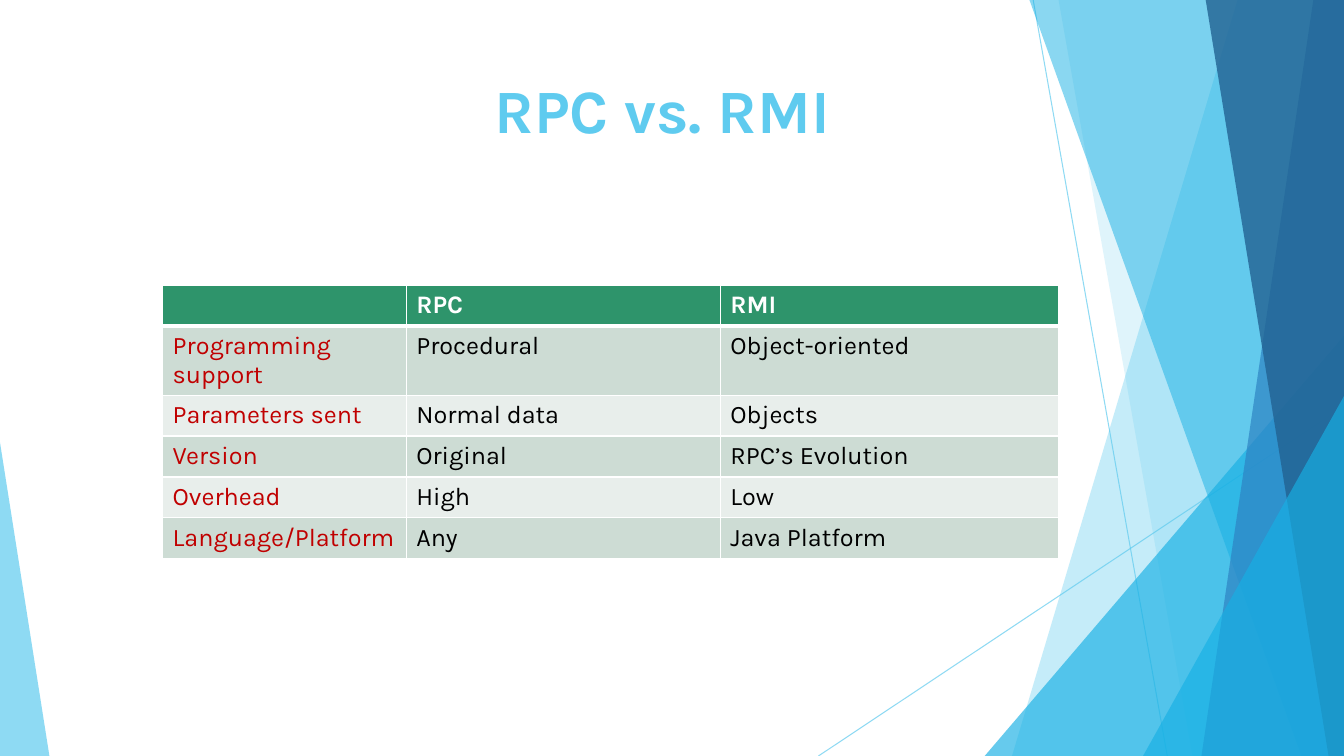
import pptx
import pptx.util
import pptx.dml.color
import pptx.enum.shapes
import pptx.enum.text
import pptx.oxml
import pptx.oxml.ns

Pt = pptx.util.Pt
FONT = "Karla"
COLORS = {
    "sky": "5FCBEF", "cyan": "17B0E4", "blue": "2E83C3", "navy": "226292",
    "header": "2E946B", "band": "CDDCD4", "pale": "E8EEEB",
    "label": "C00000", "text": "000000", "white": "FFFFFF",
}

# Content
TITLE = "RPC vs. RMI"
ROWS = [
    ("", "RPC", "RMI"),
    ("Programming support", "Procedural", "Object-oriented"),
    ("Parameters sent", "Normal data", "Objects"),
    ("Version", "Original", "RPC’s Evolution"),
    ("Overhead", "High", "Low"),
    ("Language/Platform", "Any", "Java Platform"),
]
COL_WIDTHS = [174, 224.4, 241.7]
ROW_HEIGHTS = [29.2, 49, 29.2, 29.2, 29.2, 29.2]

# Decoration, back to front, in points
WIDTH, HEIGHT, BAND_TOP = 960, 540, -0.7
LINES = [(738, 0, 833.8, HEIGHT), (WIDTH, 290.2, 584.6, HEIGHT)]
# Bands reach the right edge: (top x, bottom x, colour, opacity %)
# Triangles stand on the bottom edge: (left, top, width, apex, colour, opacity %)
FACETS = [
    ("band", 884.2, 722.9, "sky", 36),
    ("band", 756, 851.8, "sky", 20),
    ("triangle", 703.4, 239.8, 256.6, 1, "cyan", 66),
    ("band", 735.1, 929.5, "cyan", 50),
    ("band", 938.2, 858.2, "blue", 70),
    ("band", 861.1, 949, "navy", 80),
    ("triangle", 816.5, 283, 143.5, 1, "cyan", 66),
    ("triangle", 0, 316.1, 35.3, 0, "sky", 70),
]


def rgb(name):
    return pptx.dml.color.RGBColor.from_string(COLORS[name])


def add_xml(parent, tag, **attrs):
    el = pptx.oxml.parse_xml(f"<{tag} {pptx.oxml.ns.nsdecls('a')}/>")
    for key, value in attrs.items():
        el.set(key, str(value))
    parent.append(el)
    return el


def set_opacity(element, percent):
    color = next(element.iter(pptx.oxml.ns.qn("a:srgbClr")))
    add_xml(color, "a:alpha", val=percent * 1000)


def add_run(p, text, size, color, bold):
    r = p.add_run()
    r.text = text
    r.font.name, r.font.size, r.font.bold = FONT, Pt(size), bold
    r.font.color.rgb = rgb(color)


def add_facet(s, kind, *values):
    *geometry, color, opacity = values
    if kind == "band":
        top_x, bottom_x = geometry
        corners = [(WIDTH, BAND_TOP), (WIDTH, HEIGHT), (bottom_x, HEIGHT)]
        builder = s.shapes.build_freeform(Pt(top_x), Pt(BAND_TOP))
        builder.add_line_segments([(Pt(x), Pt(y)) for x, y in corners], close=True)
        sp = builder.convert_to_shape()
    else:
        left, top, width, apex = geometry
        sp = s.shapes.add_shape(pptx.enum.shapes.MSO_SHAPE.ISOSCELES_TRIANGLE,
                                Pt(left), Pt(top), Pt(width), Pt(HEIGHT - top))
        sp.adjustments[0] = apex
    sp.shadow.inherit = False
    sp.fill.solid()
    sp.fill.fore_color.rgb = rgb(color)
    set_opacity(sp.fill._xPr, opacity)
    sp.line.fill.background()


def set_borders(cell, bottom):
    tcPr = cell._tc.get_or_add_tcPr()
    for side, width in (("L", 1), ("R", 1), ("T", 1), ("B", bottom)):
        ln = add_xml(tcPr, f"a:ln{side}", w=Pt(width))
        add_xml(add_xml(ln, "a:solidFill"), "a:srgbClr", val=COLORS["white"])


prs = pptx.Presentation()
prs.slide_width, prs.slide_height = Pt(WIDTH), Pt(HEIGHT)
s = prs.slides.add_slide(prs.slide_layouts[5])

# Background lines and facets
for ends in LINES:
    line = s.shapes.add_connector(pptx.enum.shapes.MSO_CONNECTOR.STRAIGHT,
                                  *[Pt(v) for v in ends])
    line.line.width = Pt(0.75)
    line.line.color.rgb = rgb("sky")
    set_opacity(line.line._ln, 70)
    add_xml(line._element.spPr, "a:effectLst")
for facet in FACETS:
    add_facet(s, *facet)

# Title, brought in front of the facets
title = s.shapes.title
s.shapes._spTree.append(title._element)
title.left, title.top, title.width, title.height = Pt(53.3), Pt(48), Pt(840), Pt(104)
tf = title.text_frame
tf.word_wrap = True
tf.auto_size = pptx.enum.text.MSO_AUTO_SIZE.NONE
tf.vertical_anchor = pptx.enum.text.MSO_ANCHOR.TOP
p = tf.paragraphs[0]
p.alignment = pptx.enum.text.PP_ALIGN.CENTER
add_run(p, TITLE, 44, "sky", True)

# Comparison table
table = s.shapes.add_table(len(ROWS), len(COL_WIDTHS), Pt(116.2), Pt(203.6),
                           Pt(sum(COL_WIDTHS)), Pt(sum(ROW_HEIGHTS))).table
for column, width in zip(table.columns, COL_WIDTHS):
    column.width = Pt(width)
for i, (row, height) in enumerate(zip(ROWS, ROW_HEIGHTS)):
    table.rows[i].height = Pt(height)
    fill = "header" if i == 0 else "band" if i % 2 else "pale"
    for j, text in enumerate(row):
        cell = table.cell(i, j)
        set_borders(cell, 3 if i == 0 else 1)
        cell.fill.solid()
        cell.fill.fore_color.rgb = rgb(fill)
        p = cell.text_frame.paragraphs[0]
        p.font.size = Pt(18)
        if text:
            color = "white" if i == 0 else "label" if j == 0 else "text"
            add_run(p, text, 18, color, i == 0)

prs.save("out.pptx")
